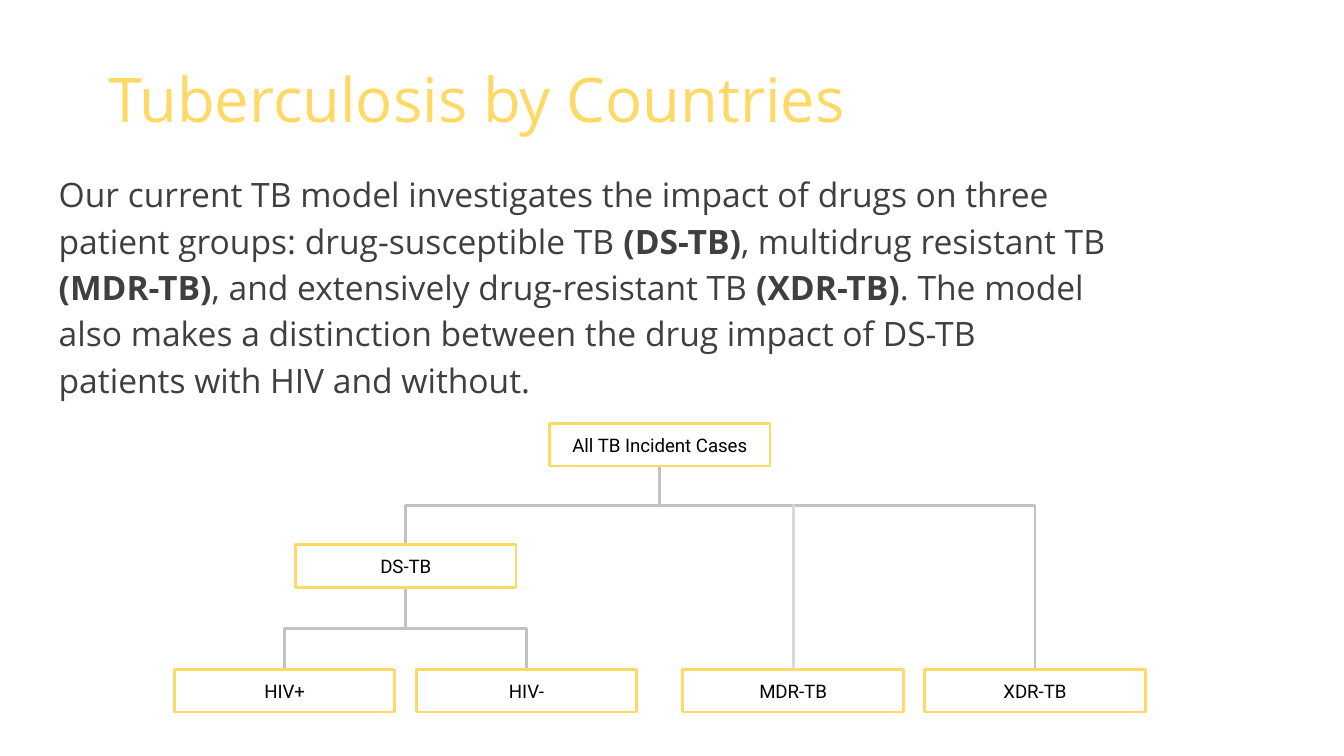
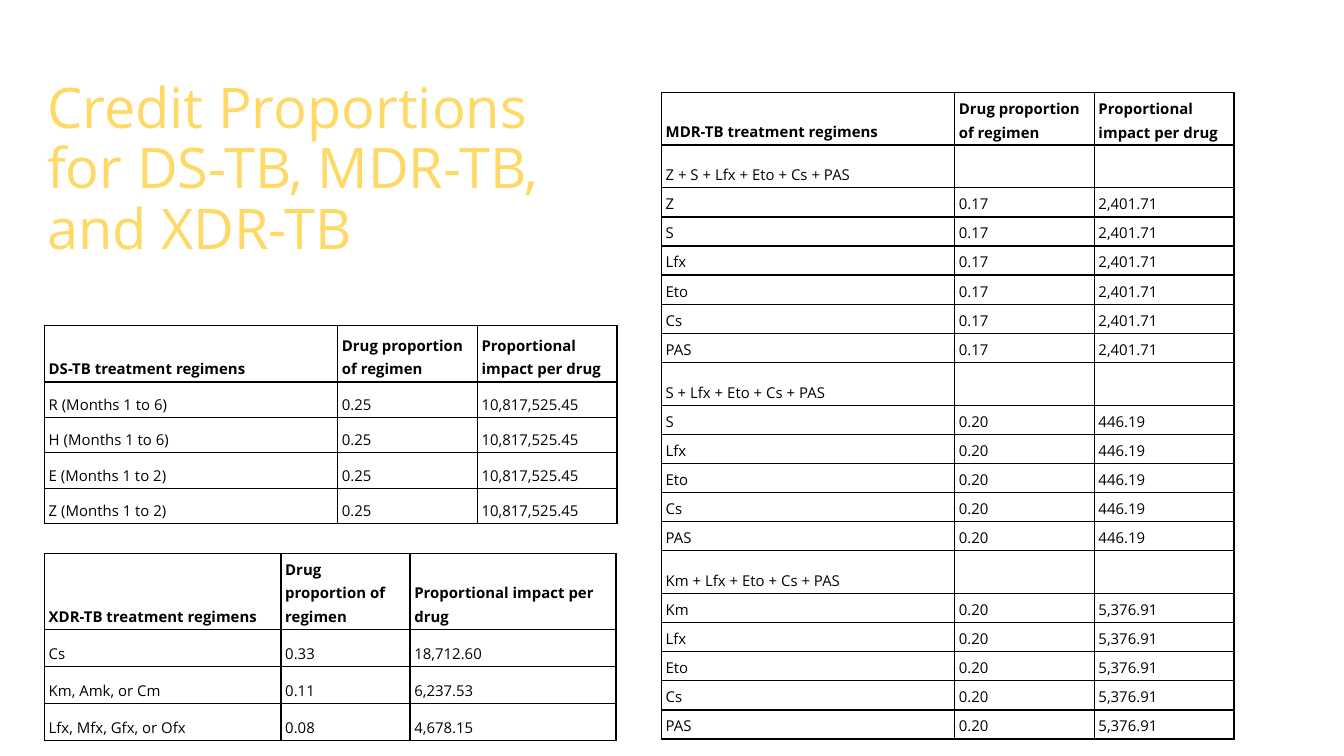
import pptx
import pptx.util
import pptx.dml.color
import pptx.enum.shapes
import pptx.enum.text
import pptx.oxml.ns
import lxml.etree

Cm, Pt = pptx.util.Cm, pptx.util.Pt
RGBColor = pptx.dml.color.RGBColor
ALIGN = pptx.enum.text.PP_ALIGN
ANCHOR = pptx.enum.text.MSO_ANCHOR
CONNECTOR = pptx.enum.shapes.MSO_CONNECTOR
qn = pptx.oxml.ns.qn

YELLOW = RGBColor(0xFF, 0xD9, 0x66)
DARK = RGBColor(0x3F, 0x3F, 0x3F)
BLACK = RGBColor(0, 0, 0)
WHITE = RGBColor(0xFF, 0xFF, 0xFF)
GREY = RGBColor(0xC2, 0xC2, 0xC2)
PALE_GREY = RGBColor(0xD9, 0xD9, 0xD9)

TITLE_FONT = {"name": "Open Sans", "color": YELLOW}
BODY_FONT = {"name": "Open Sans", "size": Pt(18), "color": DARK}
NODE_FONT = {"name": "Roboto", "size": Pt(10), "color": BLACK}
CELL_FONT = {"name": "Open Sans", "size": Pt(8), "color": BLACK}

INTRO = [
    ("Our current TB model investigates the impact of drugs on three patient groups: "
     "drug-susceptible TB ", False),
    ("(DS-TB)", True),
    (", multidrug resistant TB ", False),
    ("(MDR-TB)", True),
    (", and extensively drug-resistant TB ", False),
    ("(XDR-TB)", True),
    (". The model also makes a distinction between the drug impact of DS-TB patients "
     "with HIV and without.", False),
]

NODE_WIDTH, NODE_HEIGHT = 4.17, 0.81
NODES = {
    "All TB Incident Cases": (12.47, 8.0),
    "DS-TB": (7.67, 10.29),
    "XDR-TB": (19.56, 12.65),
    "MDR-TB": (14.99, 12.65),
    "HIV-": (9.95, 12.65),
    "HIV+": (5.38, 12.65),
}
BRANCHES = [("All TB Incident Cases", "DS-TB"), ("DS-TB", "HIV-"), ("DS-TB", "HIV+")]

HEADINGS = ["Drug proportion of regimen", "Proportional impact per drug"]
MDR_REGIMENS = [
    (["Z", "S", "Lfx", "Eto", "Cs", "PAS"], "0.17", "2,401.71"),
    (["S", "Lfx", "Eto", "Cs", "PAS"], "0.20", "446.19"),
    (["Km", "Lfx", "Eto", "Cs", "PAS"], "0.20", "5,376.91"),
]
MDR_ROWS = []
for drugs, share, impact in MDR_REGIMENS:
    MDR_ROWS.append((" + ".join(drugs), "", ""))
    MDR_ROWS += [(drug, share, impact) for drug in drugs]
XDR_ROWS = [
    ("Cs", "0.33", "18,712.60"),
    ("Km, Amk, or Cm", "0.11", "6,237.53"),
    ("Lfx, Mfx, Gfx, or Ofx", "0.08", "4,678.15"),
]
DS_ROWS = [
    (f"{drug} (Months 1 to {last})", "0.25", "10,817,525.45")
    for drug, last in [("R", 6), ("H", 6), ("E", 2), ("Z", 2)]
]
GROUP_ROW_HEIGHT = 0.81
TABLES = [
    {"group": "MDR-TB", "left": 12.5, "top": 1.75, "columns": (5.54, 2.64, 2.64),
     "header": 0.99, "row": 0.55, "rows": MDR_ROWS},
    {"group": "XDR-TB", "left": 0.84, "top": 10.46, "columns": (4.47, 2.44, 3.89),
     "header": 1.44, "row": 0.7, "rows": XDR_ROWS},
    {"group": "DS-TB", "left": 0.84, "top": 6.15, "columns": (5.54, 2.64, 2.64),
     "header": 1.07, "row": 0.67, "rows": DS_ROWS},
]


def add_span(para, text, style, bold=False):
    span = para.add_run()
    span.text = text
    span.font.bold = bold
    for key, value in style.items():
        if key == "color":
            span.font.color.rgb = value
        else:
            setattr(span.font, key, value)


def set_margins(target, side, end):
    for name, value in {"left": side, "right": side, "top": end, "bottom": end}.items():
        setattr(target, f"margin_{name}", Cm(value))


def add_text(page, frame, spans, style, margins=(0.25, 0.13), anchor=ANCHOR.TOP, **layout):
    box = page.shapes.add_textbox(*map(Cm, frame))
    box.text_frame.word_wrap = True
    box.text_frame.vertical_anchor = anchor
    set_margins(box.text_frame, *margins)
    para = box.text_frame.paragraphs[0]
    for key, value in layout.items():
        setattr(para, key, value)
    for text, bold in spans:
        add_span(para, text, style, bold)


def add_title(page, frame, text, size, **layout):
    style = {**TITLE_FONT, "size": Pt(size)}
    add_text(page, frame, [(text, False)], style, anchor=ANCHOR.MIDDLE, **layout)


def add_line(page, kind, start, end, color=GREY):
    line = page.shapes.add_connector(kind, *map(Cm, (*start, *end)))
    line.line.color.rgb = color
    line.line.width = Pt(1.5)
    lxml.etree.SubElement(line._element.spPr, qn("a:effectLst"))
    return line


def add_branch(page, parent, child):
    parent_x, parent_top = NODES[parent]
    child_x, child_top = NODES[child]
    parent_bottom = parent_top + NODE_HEIGHT
    middle_x, middle_y = (parent_x + child_x) / 2, (parent_bottom + child_top) / 2
    half_drop, half_span = (child_top - parent_bottom) / 2, abs(child_x - parent_x) / 2
    if child_x > parent_x:
        half_drop = -half_drop
    line = add_line(page, CONNECTOR.ELBOW,
                    (middle_x - half_drop, middle_y - half_span),
                    (middle_x + half_drop, middle_y + half_span))
    line._element.spPr.find(qn("a:xfrm")).set("rot", str(270 * 60000))


def add_node(page, label, center, top):
    box = page.shapes.add_shape(
        pptx.enum.shapes.MSO_SHAPE.RECTANGLE, Cm(center - NODE_WIDTH / 2), Cm(top),
        Cm(NODE_WIDTH), Cm(NODE_HEIGHT))
    box.shadow.inherit = False
    box.fill.background()
    box.line.color.rgb = YELLOW
    box.line.width = Pt(1.5)
    box.text_frame.word_wrap = True
    box.text_frame.vertical_anchor = ANCHOR.MIDDLE
    set_margins(box.text_frame, 0.25, 0.25)
    para = box.text_frame.paragraphs[0]
    para.alignment = ALIGN.CENTER
    add_span(para, label, NODE_FONT)


def add_tree(page):
    for parent, child in BRANCHES:
        add_branch(page, parent, child)
    root_x, root_top = NODES["All TB Incident Cases"]
    bar_y = (root_top + NODE_HEIGHT + NODES["DS-TB"][1]) / 2
    corner = add_line(page, CONNECTOR.ELBOW, (root_x, bar_y), NODES["XDR-TB"])
    corner._element.spPr.find(qn("a:prstGeom")).set("prst", "bentConnector2")
    for label, (center, top) in NODES.items():
        add_node(page, label, center, top)
    mdr_x, mdr_top = NODES["MDR-TB"]
    add_line(page, CONNECTOR.STRAIGHT, (mdr_x, mdr_top), (mdr_x, bar_y), PALE_GREY)


def style_cell(cell, text, bold):
    set_margins(cell, 0.08, 0.05)
    cell.vertical_anchor = ANCHOR.BOTTOM
    properties = cell._tc.get_or_add_tcPr()
    for side in ("lnL", "lnR", "lnT", "lnB"):
        border = lxml.etree.SubElement(properties, qn(f"a:{side}"), w=str(Pt(0.75)))
        fill = lxml.etree.SubElement(border, qn("a:solidFill"))
        lxml.etree.SubElement(fill, qn("a:srgbClr"), val=str(BLACK))
    cell.fill.solid()
    cell.fill.fore_color.rgb = WHITE
    para = cell.text_frame.paragraphs[0]
    para.line_spacing = 1.15
    if text:
        add_span(para, text, CELL_FONT, bold)
    else:
        lxml.etree.SubElement(para._p, qn("a:endParaRPr"), sz="800")


def add_regimens(page, group, left, top, columns, header, row, rows):
    lines = [(f"{group} treatment regimens", *HEADINGS), *rows]
    heights = [header] + [row if line[1] else GROUP_ROW_HEIGHT for line in rows]
    table = page.shapes.add_table(
        len(lines), len(columns), Cm(left), Cm(top), Cm(sum(columns)), Cm(sum(heights))).table
    table.first_row = table.horz_banding = False
    for column, width in zip(table.columns, columns):
        column.width = Cm(width)
    for index, (line, height) in enumerate(zip(lines, heights)):
        table.rows[index].height = Cm(height)
        for position, text in enumerate(line):
            style_cell(table.cell(index, position), text, bold=index == 0)


def main():
    deck = pptx.Presentation()
    deck.slide_width, deck.slide_height = Cm(25.4), Cm(14.29)
    blank = deck.slide_layouts[6]

    page = deck.slides.add_slide(blank)
    add_title(page, (0.2, 0.48, 17.63, 2.74), "Tuberculosis by Countries", 33,
              alignment=ALIGN.CENTER)
    add_text(page, (0.86, 3.05, 20.4, 5.08), INTRO, BODY_FONT, line_spacing=1.15)
    add_tree(page)

    page = deck.slides.add_slide(blank)
    add_title(page, (0.71, 1.02, 10.95, 4.42),
              "Credit Proportions for DS-TB, MDR-TB, and XDR-TB", 30,
              margins=(0.18, 0.1), line_spacing=0.9)
    for regimens in TABLES:
        add_regimens(page, **regimens)

    deck.save("out.pptx")


if __name__ == "__main__":
    main()
